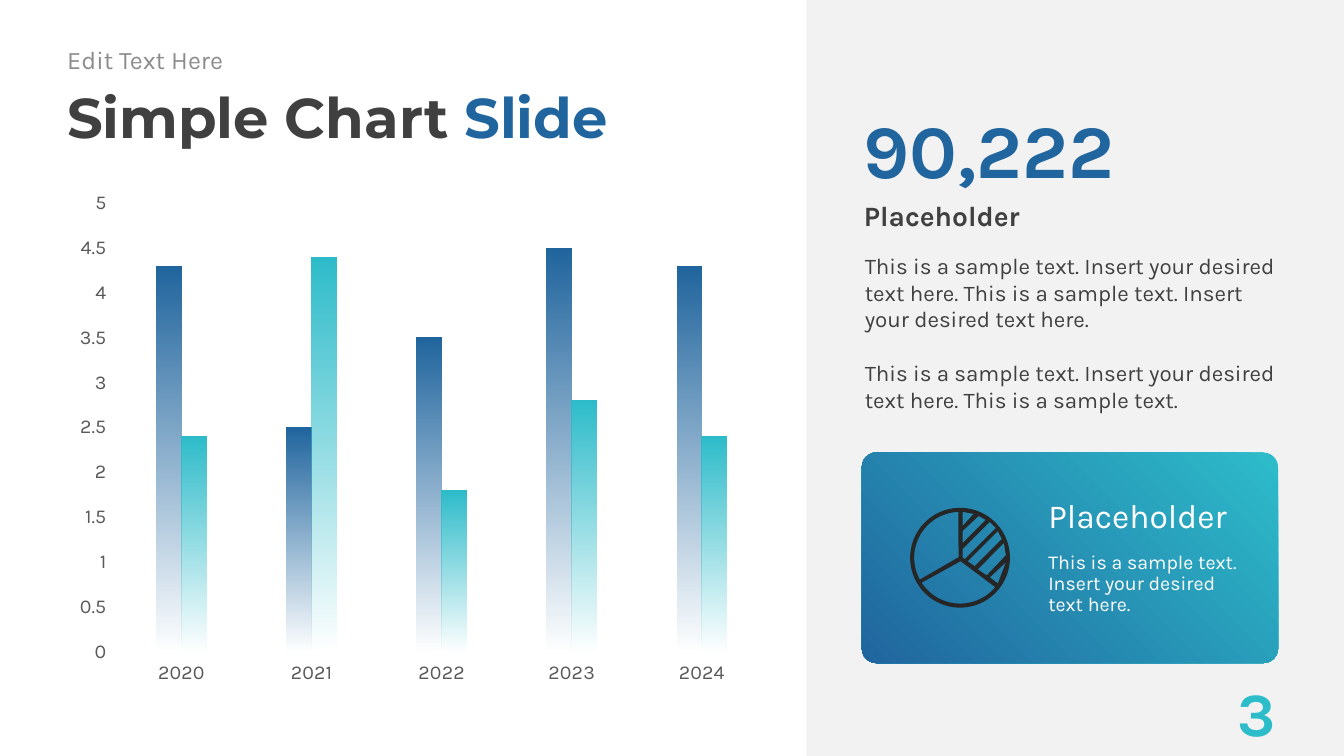
import math

import pptx
import pptx.chart.data
import pptx.dml.color
import pptx.enum.chart
import pptx.enum.shapes
import pptx.enum.text
import pptx.oxml
import pptx.oxml.ns
import pptx.util

BLUE, TEAL, DARK, WHITE = "20659E", "2DBCCA", "404040", "FFFFFF"
ALIGN = pptx.enum.text.PP_ALIGN
ANCHOR = pptx.enum.text.MSO_ANCHOR
COLUMNS = 160  # square grid cells, 160 by 90


def rgb(value):
    return pptx.dml.color.RGBColor.from_string(value)


class SlideBuilder:
    def __init__(self, deck, font):
        self.slide = deck.slides.add_slide(deck.slide_layouts[6])
        self.font = font
        self.cell = deck.slide_width / COLUMNS

    def cells(self, *lengths):
        return [round(length * self.cell) for length in lengths]

    def gradient(self, fill, start, end, angle):
        fill.gradient()
        fill.gradient_angle = angle
        for stop, color in zip(fill.gradient_stops, (start, end)):
            stop.color.rgb = rgb(color)

    def block(self, kind, box):
        shape = self.slide.shapes.add_shape(kind, *self.cells(*box))
        shape.shadow.inherit = False
        shape.line.fill.background()
        return shape

    def text(self, box, paragraphs, size, bold=False, font=None, anchor=ANCHOR.TOP,
             align=ALIGN.LEFT, inset=0, gap=0, spacing=None, grow=False):
        """Each paragraph is a list of (words, colour) runs."""
        frame = self.slide.shapes.add_textbox(*self.cells(*box)).text_frame
        frame.word_wrap = True
        frame.vertical_anchor = anchor
        frame.margin_left = frame.margin_right = 0
        frame.margin_top = frame.margin_bottom = pptx.util.Inches(inset)
        if grow:
            frame.auto_size = pptx.enum.text.MSO_AUTO_SIZE.SHAPE_TO_FIT_TEXT
        for index, runs in enumerate(paragraphs):
            paragraph = frame.add_paragraph() if index else frame.paragraphs[0]
            paragraph.alignment = align
            if index:
                paragraph.space_before = pptx.util.Pt(gap)
            if spacing:
                paragraph.line_spacing = spacing
            for words, color in runs:
                run = paragraph.add_run()
                run.text = words
                run.font.name = font or self.font
                run.font.size = pptx.util.Pt(size)
                run.font.bold = bold
                run.font.color.rgb = rgb(color)

    def columns(self, box, categories, series):
        """Each series is name: (colour, values); bars fade out downwards."""
        data = pptx.chart.data.CategoryChartData()
        data.categories = categories
        for name, (_, values) in series.items():
            data.add_series(name, values)
        kind = pptx.enum.chart.XL_CHART_TYPE.COLUMN_CLUSTERED
        chart = self.slide.shapes.add_chart(kind, *self.cells(*box), data).chart
        chart.has_legend = chart.has_title = False
        chart.font.name = self.font
        chart.font.size = pptx.util.Pt(18)
        chart.font.color.rgb = rgb("000000")
        for axis in (chart.category_axis, chart.value_axis):
            axis.has_major_gridlines = False
            axis.format.line.color.rgb = rgb(WHITE)
            axis.format.line.width = pptx.util.Pt(0.75)
            axis.tick_labels.font.name = self.font
            axis.tick_labels.font.size = pptx.util.Pt(14)
            axis.tick_labels.font.color.rgb = rgb("595959")
        chart.value_axis.minimum_scale = 0
        chart.value_axis.maximum_scale = 5
        chart.value_axis.major_unit = 0.5
        plot = chart.plots[0]
        plot.gap_width = 325
        plot.overlap = 0
        plot.vary_by_categories = False
        for bars, (color, _) in zip(plot.series, series.values()):
            self.gradient(bars.format.fill, color, color, 90)
            base = next(bars._element.iter(pptx.oxml.ns.qn("a:srgbClr")))
            base.append(pptx.oxml.parse_xml(
                f'<a:alpha {pptx.oxml.ns.nsdecls("a")} val="0"/>'))

    def outline(self, center, contours, color):
        """Contours are points in cells from the centre; inner ones are holes."""
        points = [[self.cells(*point) for point in contour] for contour in contours]
        builder = self.slide.shapes.build_freeform(*points[0][0])
        for index, contour in enumerate(points):
            if index:
                builder.move_to(*contour[0])
            builder.add_line_segments(contour[1:], close=True)
        icon = builder.convert_to_shape(*self.cells(*center))
        icon.shadow.inherit = False
        icon.fill.solid()
        icon.fill.fore_color.rgb = rgb(color)
        icon.line.fill.background()


def arc(radius, start, end, steps=36):
    angles = [math.radians(start + (end - start) * i / steps) for i in range(steps + 1)]
    return [(radius * math.cos(a), radius * math.sin(a)) for a in angles]


def main():
    deck = pptx.Presentation()
    deck.slide_width = pptx.util.Inches(13.33)
    deck.slide_height = pptx.util.Inches(7.5)
    page = SlideBuilder(deck, "Karla")
    shapes = pptx.enum.shapes.MSO_SHAPE

    # Side panel
    panel = page.block(shapes.RECTANGLE, (96, 0, 64, 90))
    panel.fill.solid()
    panel.fill.fore_color.rgb = rgb("F2F2F2")

    # Heading and page number
    page.text((8, 9.12, 144, 9.36), [[("Simple Chart ", DARK), ("Slide", BLUE)]], 40,
              bold=True, font="Montserrat", anchor=ANCHOR.MIDDLE, inset=0.07)
    page.text((8, 4.68, 50.64, 4.8), [[("Edit Text Here", "8C8C8C")]], 18,
              anchor=ANCHOR.MIDDLE, inset=0.07)
    page.text((141.24, 77.16, 10.68, 12.84), [[("3", TEAL)]], 44, bold=True,
              anchor=ANCHOR.BOTTOM, align=ALIGN.RIGHT, inset=0.07)

    # Yearly chart
    page.columns((7.8, 21.6, 85.2, 61.2), ["2020", "2021", "2022", "2023", "2024"], {
        "Series 1": (BLUE, (4.3, 2.5, 3.5, 4.5, 4.3)),
        "Series 2": (TEAL, (2.4, 4.4, 1.8, 2.8, 2.4)),
    })

    # Key figure and explanation
    sample = "This is a sample text. Insert your desired text here."
    page.text((102.84, 12.12, 49.32, 10.92), [[("90,222", BLUE)]], 54, bold=True,
              anchor=ANCHOR.BOTTOM, grow=True)
    page.text((102.84, 23.64, 49.08, 4.08), [[("Placeholder", DARK)]], 20,
              bold=True, grow=True)
    page.text((102.96, 29.4, 49.08, 20.64),
              [[(f"{sample} {sample}", DARK)],
               [(f"{sample} This is a sample text.", DARK)]],
              16, inset=0.05, gap=19, grow=True)

    # Highlight card
    card = page.block(shapes.ROUNDED_RECTANGLE, (102.6, 53.88, 49.56, 25.08))
    card.adjustments[0] = 0.07
    page.gradient(card.fill, TEAL, BLUE, 225)
    page.text((124.8, 58.92, 23.28, 4.8), [[("Placeholder", WHITE)]], 24,
              anchor=ANCHOR.BOTTOM, grow=True)
    page.text((124.8, 65.16, 23.28, 8.88), [[(sample, WHITE)]], 14,
              inset=0.05, spacing=0.9, grow=True)

    # Pie icon: rim, two open sectors, then the gaps of the hatched sector
    inner = 5.46
    page.outline((114.3, 66.42), [
        arc(5.94, 0, 360, 96),
        [(-0.18, -0.06)] + arc(inner, 151.5, 268),
        [(0.06, 0.42)] + arc(inner, 40, 147),
        [(0.3, -3.78), (0.3, -5.46), (1.62, -5.22)],
        [(3.06, -4.5), (0.3, -1.74), (0.3, -3.18), (2.22, -4.98)],
        [(4.26, -3.54), (0.54, 0.18), (0.3, -0.06), (0.3, -1.02), (3.54, -4.26)],
        [(4.98, -2.22), (1.74, 1.02), (0.9, 0.42), (4.5, -3.18)],
        [(5.22, -1.74), (5.46, -0.3), (3.18, 2.1), (2.1, 1.38)],
        [(4.5, 3.06), (3.54, 2.34), (5.46, 0.54)],
    ], "262626")

    deck.save("out.pptx")


if __name__ == "__main__":
    main()
